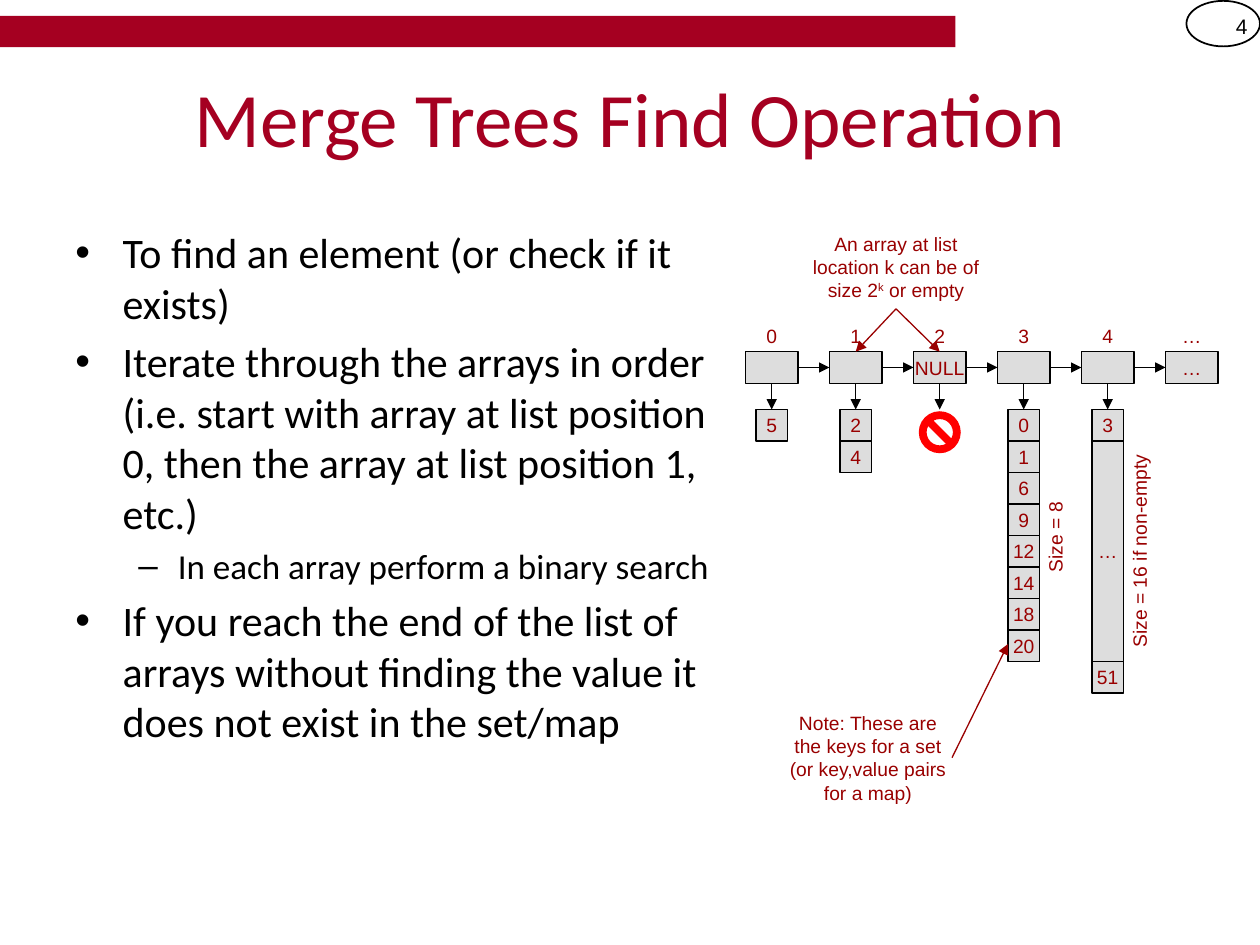
from lxml.etree import SubElement
from pptx import Presentation
from pptx.dml.color import RGBColor
from pptx.enum.shapes import MSO_CONNECTOR as Link, MSO_SHAPE as Kind
from pptx.enum.text import MSO_ANCHOR as Anchor, PP_ALIGN as Align
from pptx.oxml.ns import qn
from pptx.util import Pt

BLACK, RED, DARK, GRAY = "000000", "A50021", "990000", "DDDDDD"


def color(text):
    """Turn a hex string into a colour."""
    return RGBColor.from_string(text)


class Deck:
    """Holds the style and the current slide."""

    font, size, ink, edge = "Arial", 11, DARK, 0.75

    def __init__(self, wide, high):
        """Start a deck with one blank slide."""
        self.deck = Presentation()
        self.deck.slide_width, self.deck.slide_height = Pt(wide), Pt(high)
        self.slide = self.deck.slides.add_slide(self.deck.slide_layouts[6])

    def style(self, part, font=None, size=None, ink=None):
        """Format all runs of a paragraph."""
        for run in part.runs:
            run.font.name = font or self.font
            run.font.size = Pt(size or self.size)
            run.font.color.rgb = color(ink or self.ink)

    def fit(self, item, text, align=Align.CENTER, pad=(0, 3.6), **look):
        """Put one paragraph, middle anchored, in a shape."""
        frame = item.text_frame
        frame.word_wrap = True
        frame.vertical_anchor = Anchor.MIDDLE
        frame.margin_left = frame.margin_right = Pt(pad[0])
        frame.margin_top = frame.margin_bottom = Pt(pad[1])
        frame.text = text
        frame.paragraphs[0].alignment = align
        self.style(frame.paragraphs[0], **look)

    def label(self, box, text, turn=0, **look):
        """Add a text box."""
        item = self.slide.shapes.add_textbox(*map(Pt, box))
        item.rotation = turn
        self.fit(item, text, **look)
        return item

    def shape(self, kind, box, fill=None, line=None, edge=None):
        """Add a preset shape."""
        item = self.slide.shapes.add_shape(kind, *map(Pt, box))
        item.shadow.inherit = False
        if fill:
            item.fill.solid()
            item.fill.fore_color.rgb = color(fill)
        else:
            item.fill.background()
        if line:
            item.line.color.rgb = color(line)
            item.line.width = Pt(edge or self.edge)
        else:
            item.line.fill.background()
        return item

    def cell(self, box, text=""):
        """Add a gray cell with an optional value."""
        item = self.shape(Kind.RECTANGLE, box, GRAY, BLACK)
        if text:
            self.fit(item, text)

    def arrow(self, start, end, ink=BLACK):
        """Add a straight arrow."""
        ends = map(Pt, (*start, *end))
        item = self.slide.shapes.add_connector(Link.STRAIGHT, *ends)
        item.line.color.rgb = color(ink)
        item.line.width = Pt(self.edge)
        prop = item._element.spPr
        SubElement(prop.find(qn("a:ln")), qn("a:tailEnd"), type="triangle")
        SubElement(prop, qn("a:effectLst"))

    def bullets(self, box, rows):
        """Add a bulleted list of (level, text) rows."""
        looks = [("•", 24, 27, 27), ("–", 20, 58.5, 22.5)]
        frame = self.slide.shapes.add_textbox(*map(Pt, box)).text_frame
        frame.word_wrap = True
        frame.text = "\n".join(text for _, text in rows)
        for part, (level, _) in zip(frame.paragraphs, rows):
            mark, size, left, hang = looks[level]
            part.level = level
            part.space_before = Pt(size / 5)
            prop = part._p.get_or_add_pPr()
            prop.set("marL", str(Pt(left)))
            prop.set("indent", str(-Pt(hang)))
            SubElement(prop, qn("a:buFont"), typeface="Arial")
            SubElement(prop, qn("a:buChar"), char=mark)
            self.style(part, "Calibri", size, BLACK)


deck = Deck(720, 540)

# Header
deck.shape(Kind.RECTANGLE, (0, 9, 546, 18), RED)
deck.shape(Kind.OVAL, (678, 0.5, 42, 26), line=BLACK, edge=1)
deck.label((678, 0.5, 42, 29), "4", align=Align.RIGHT, pad=(7.2, 3.6),
           size=12, ink=BLACK)
deck.label((36, 21.6, 648, 90), "Merge Trees Find Operation",
           pad=(7.2, 3.6), font="Calibri", size=44, ink=RED)

deck.bullets((36, 126, 384, 396), [
    (0, "To find an element (or check if it exists)"),
    (0, "Iterate through the arrays in order (i.e. start with array at list "
        "position 0, then the array at list position 1, etc.)"),
    (1, "In each array perform a binary search"),
    (0, "If you reach the end of the list of arrays without finding the "
        "value it does not exist in the set/map"),
])

# List nodes, each with its array of (value, height in cells)
LEFT, TOP, STEP, WIDE, UNIT = 426, 201, 48, 30, 18
BASE, DROP = TOP + UNIT, 234
nodes = [
    ("0", "", [("5", 1)]),
    ("1", "", [("2", 1), ("4", 1)]),
    ("2", "NULL", []),
    ("3", "", [(key, 1) for key in "0 1 6 9 12 14 18 20".split()]),
    ("4", "", [("3", 1), ("…", 7), ("51", 1)]),
    ("…", "…", None),
]
for spot, (index, value, keys) in enumerate(nodes):
    left = LEFT + spot * STEP
    mid = left + WIDE / 2
    deck.cell((left, TOP, WIDE, UNIT), value)
    deck.label((left, TOP - UNIT, WIDE, UNIT), index)
    if keys is None:
        continue
    deck.arrow((left + WIDE, TOP + 9), (left + STEP, TOP + 9))
    deck.arrow((mid, BASE), (mid, DROP))
    top = DROP
    for key, count in keys:
        high = count * UNIT
        deck.cell((mid - UNIT / 2, top, UNIT, high), key)
        top += high
    if not keys:
        deck.shape(Kind.NO_SYMBOL, (mid - 12, DROP + 1, 24, 24), "FF0000")

# Notes
deck.label((575.5, 298, 54.5, 18), "Size = 8", turn=270)
deck.label((588, 306, 126, 18), "Size = 16 if non-empty", turn=270)
deck.label((448, 408, 96, 50),
           "Note: These are the keys for a set (or key,value pairs for a map)")
deck.arrow((544, 433), (576, 368), DARK)

note = deck.label((464, 127.5, 96, 50),
                  "An array at list location k can be of size 2")
part = note.text_frame.paragraphs[0]
for text in ("k", " or empty"):
    part.add_run().text = text
deck.style(part)
part.runs[1]._r.get_or_add_rPr().set("baseline", "30000")
for spot in (1, 2):
    deck.arrow((512, 176.5), (LEFT + spot * STEP + WIDE / 2, TOP), DARK)

deck.deck.save("out.pptx")
